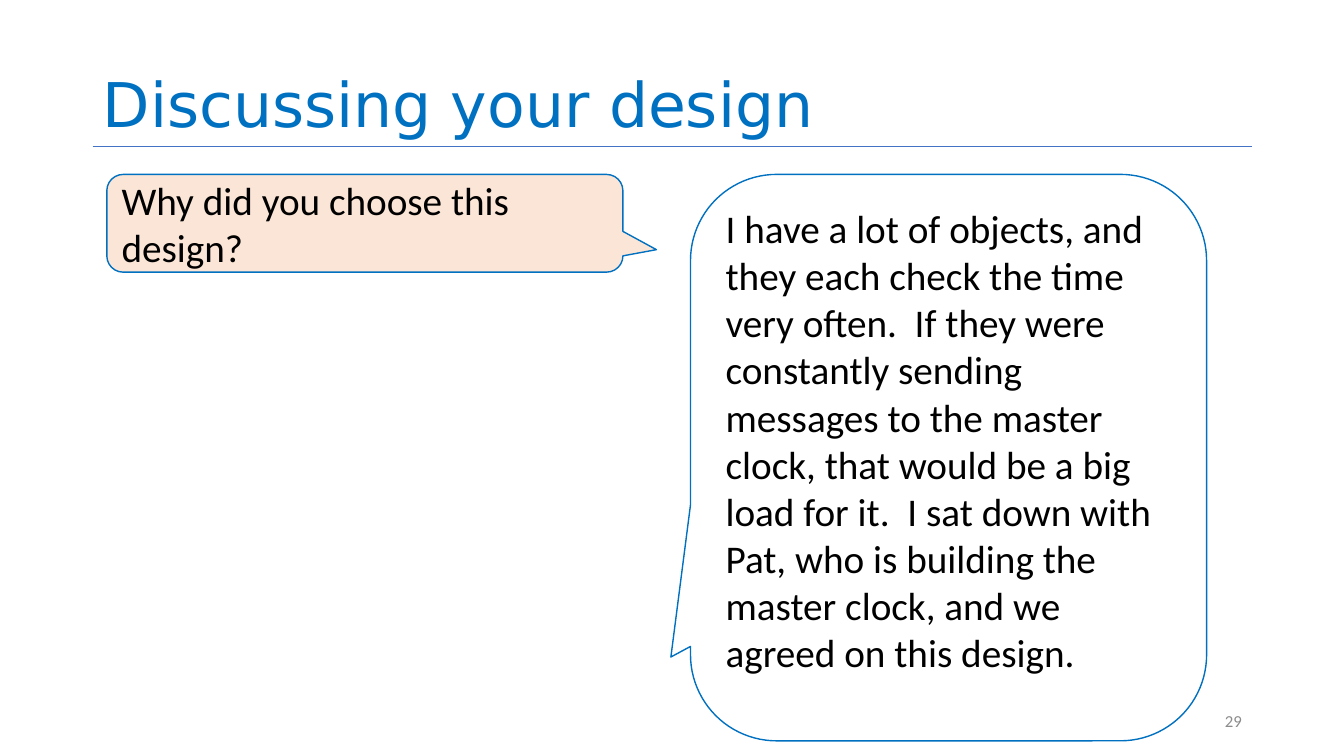
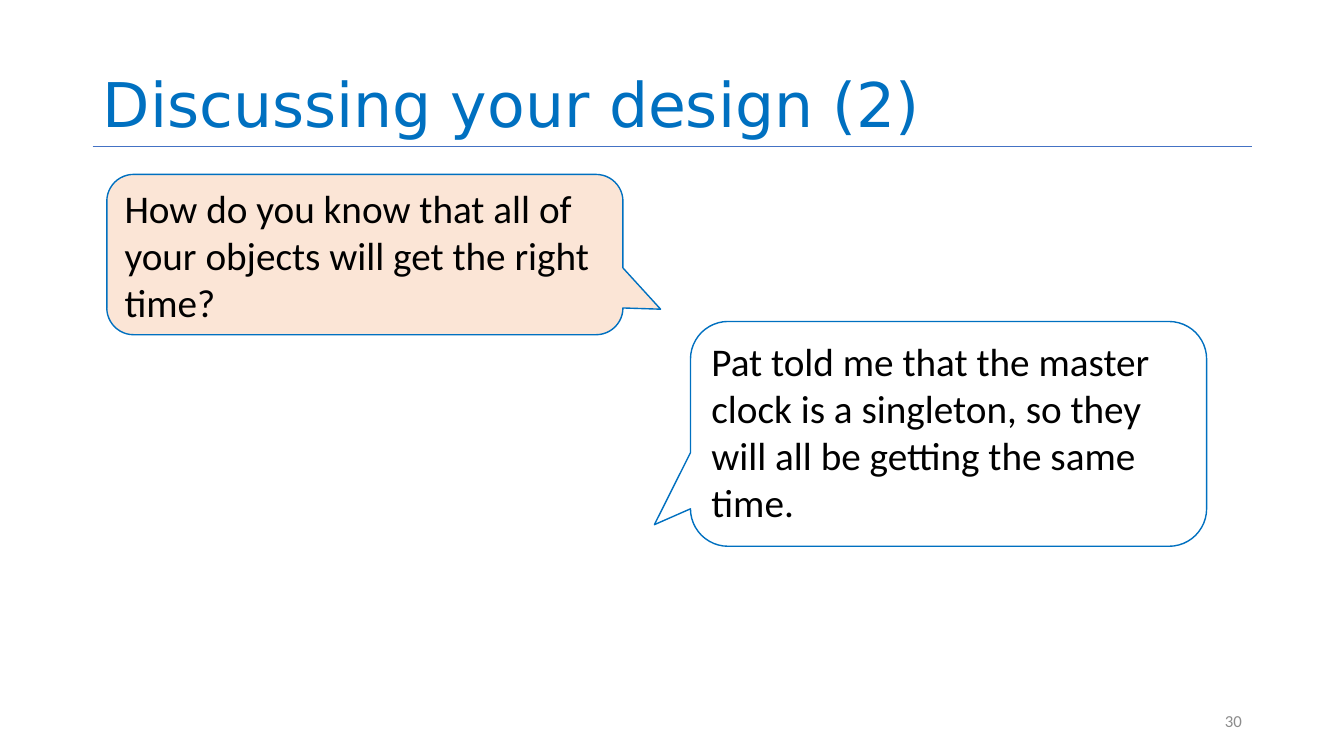
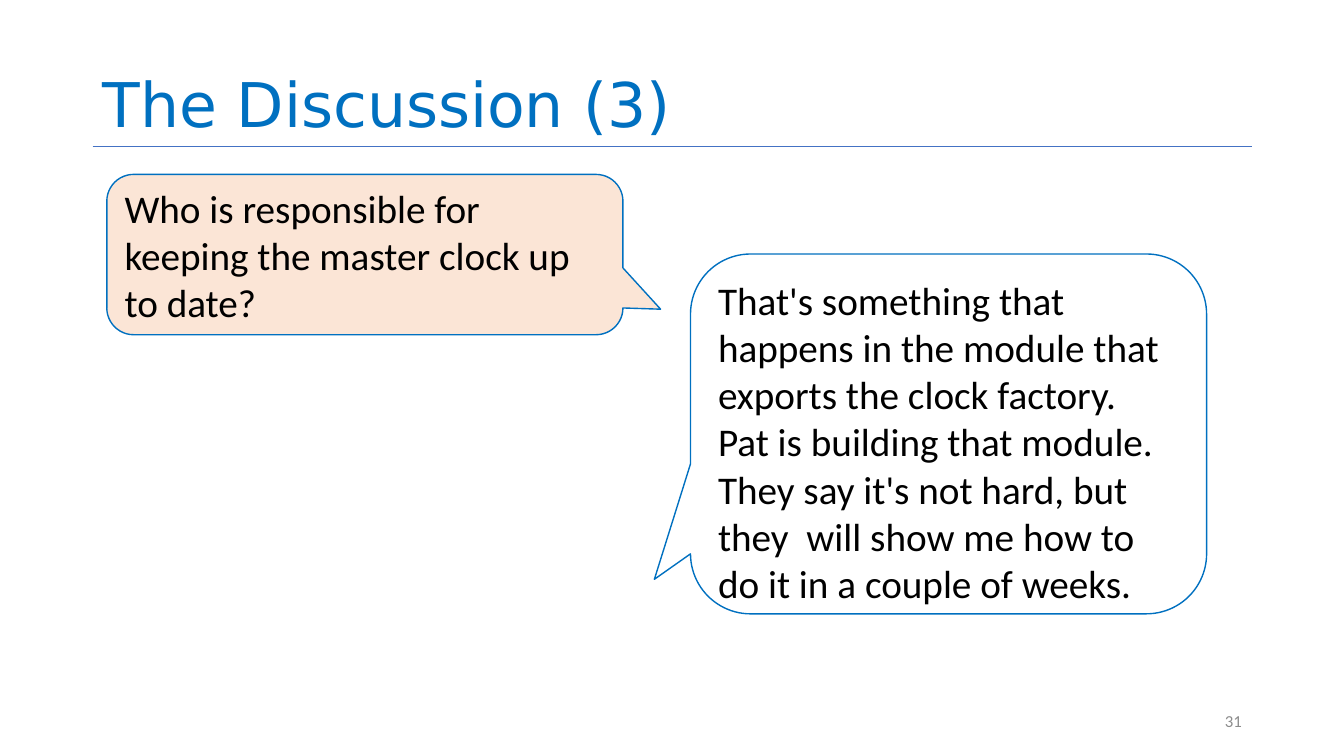
import dataclasses

import pptx
import pptx.dml.color
import pptx.enum.shapes
import pptx.enum.text
import pptx.oxml.ns
import pptx.util
from lxml import etree

COLORS = {
    "paper": "FFFFFF",
    "title": "0070C0",
    "rule": "4472C4",
    "number": "8C8C8C",
    "outline": "0070C0",
    "question": "FBE5D6",
    "answer": "FFFFFF",
    "speech": "000000",
}
ANCHOR = pptx.enum.text.MSO_ANCHOR
ALIGN = pptx.enum.text.PP_ALIGN
STYLES = {
    "title": {
        "font": {"name": "DejaVu Sans", "size": pptx.util.Pt(44)},
        "para": {"alignment": ALIGN.LEFT, "line_spacing": 0.9},
        "frame": {"word_wrap": True, "vertical_anchor": ANCHOR.BOTTOM},
    },
    "number": {
        "font": {"name": "Calibri", "size": pptx.util.Pt(12)},
        "para": {"alignment": ALIGN.RIGHT},
        "frame": {"word_wrap": True, "vertical_anchor": ANCHOR.MIDDLE},
    },
    "question": {
        "font": {"name": "Calibri", "size": pptx.util.Pt(28)},
        "para": {"alignment": ALIGN.LEFT},
        "frame": {"word_wrap": True, "vertical_anchor": ANCHOR.MIDDLE},
    },
    "answer": {
        "font": {"name": "Calibri", "size": pptx.util.Pt(28)},
        "para": {"alignment": ALIGN.LEFT},
        "frame": {"word_wrap": True, "vertical_anchor": ANCHOR.TOP},
    },
}

SLIDE_WIDTH = pptx.util.Inches(13.33)
SLIDE_HEIGHT = pptx.util.Inches(7.5)
GRID = 100
FIRST_NUMBER = 29
CALLOUT_COLUMNS = 38.4
CORNER = 0.167


@dataclasses.dataclass
class Box:
    left: float
    top: float
    width: float
    height: float

    def lengths(self):
        column, row = SLIDE_WIDTH / GRID, SLIDE_HEIGHT / GRID
        return (round(self.left * column), round(self.top * row),
                round(self.width * column), round(self.height * row))


@dataclasses.dataclass
class Speech:
    lines: list
    rows: float
    tail: tuple
    drop: float = 0


HEADER = Box(6.9, 0, 86.25, 19.33)
BODY = Box(7.95, 23.07, 81.83, 74.93)
FOOTER = Box(70.65, 92.67, 22.5, 5.33)

DISCUSSIONS = [
    (
        "Discussing your design",
        Speech(["Why did you choose this design?"], 12.93, (0.565, 0.27)),
        Speech(["I have a lot of objects, and they each check the time very often.  "
                "If they were constantly sending messages to the master clock, that "
                "would be a big load for it.  I sat down with Pat, who is building "
                "the master clock, and we agreed on this design."],
               74.93, (-0.538, 0.352)),
    ),
    (
        "Discussing your design (2)",
        Speech(["How do you know that all of your objects will get the right", "time?"],
               21.2, (0.573, 0.341)),
        Speech(["Pat told me that the master clock is a singleton, so they will all "
                "be getting the same time."], 29.73, (-0.57, 0.404), 19.46),
    ),
    (
        "The Discussion (3)",
        Speech(["Who is responsible for keeping the master clock up to date?"],
               21.2, (0.573, 0.341)),
        Speech(["That's something that happens in the module that exports the clock "
                "factory.  Pat is building that module.  They say it's not hard, but "
                "they  will show me how to do it in a couple of weeks."],
               47.6, (-0.57, 0.404), 10.53),
    ),
]


def color(name):
    return pptx.dml.color.RGBColor.from_string(COLORS[name])


def apply(target, values):
    for name, value in values.items():
        setattr(target, name, value)


def write(shape, lines, style, ink):
    frame = shape.text_frame
    apply(frame, STYLES[style]["frame"])
    for index, line in enumerate(lines):
        para = frame.add_paragraph() if index else frame.paragraphs[0]
        apply(para, STYLES[style]["para"])
        span = para.add_run()
        span.text = line
        apply(span.font, STYLES[style]["font"])
        span.font.color.rgb = color(ink)


def add_header(page, box, title):
    left, top, width, height = box.lengths()
    bottom = top + height
    rule = page.shapes.add_connector(
        pptx.enum.shapes.MSO_CONNECTOR.STRAIGHT, left, bottom, left + width, bottom)
    rule.line.color.rgb = color("rule")
    rule.line.width = pptx.util.Pt(0.5)
    properties = rule._element.find(pptx.oxml.ns.qn("p:spPr"))
    etree.SubElement(properties, pptx.oxml.ns.qn("a:effectLst"))
    write(page.shapes.add_textbox(left, top, width, height), [title], "title", "title")


def add_footer(page, box, number):
    write(page.shapes.add_textbox(*box.lengths()), [str(number)], "number", "number")


def add_callout(page, box, speech, role):
    callout = page.shapes.add_shape(
        pptx.enum.shapes.MSO_SHAPE.ROUNDED_RECTANGULAR_CALLOUT, *box.lengths())
    for index, value in enumerate((*speech.tail, CORNER)):
        callout.adjustments[index] = value
    callout.shadow.inherit = False
    callout.fill.solid()
    callout.fill.fore_color.rgb = color(role)
    callout.line.color.rgb = color("outline")
    callout.line.width = pptx.util.Pt(1)
    write(callout, speech.lines, role, "speech")


def add_dialogue(page, box, question, answer):
    right = box.left + box.width - CALLOUT_COLUMNS
    for role, speech, left in (("answer", answer, right), ("question", question, box.left)):
        place = Box(left, box.top + speech.drop, CALLOUT_COLUMNS, speech.rows)
        add_callout(page, place, speech, role)


def add_discussion(deck, number, title, question, answer):
    page = deck.slides.add_slide(deck.slide_layouts[6])
    page.background.fill.solid()
    page.background.fill.fore_color.rgb = color("paper")
    add_header(page, HEADER, title)
    add_footer(page, FOOTER, number)
    add_dialogue(page, BODY, question, answer)


def main():
    deck = pptx.Presentation()
    apply(deck, {"slide_width": SLIDE_WIDTH, "slide_height": SLIDE_HEIGHT})
    for number, discussion in enumerate(DISCUSSIONS, FIRST_NUMBER):
        add_discussion(deck, number, *discussion)
    deck.save("out.pptx")


if __name__ == "__main__":
    main()
